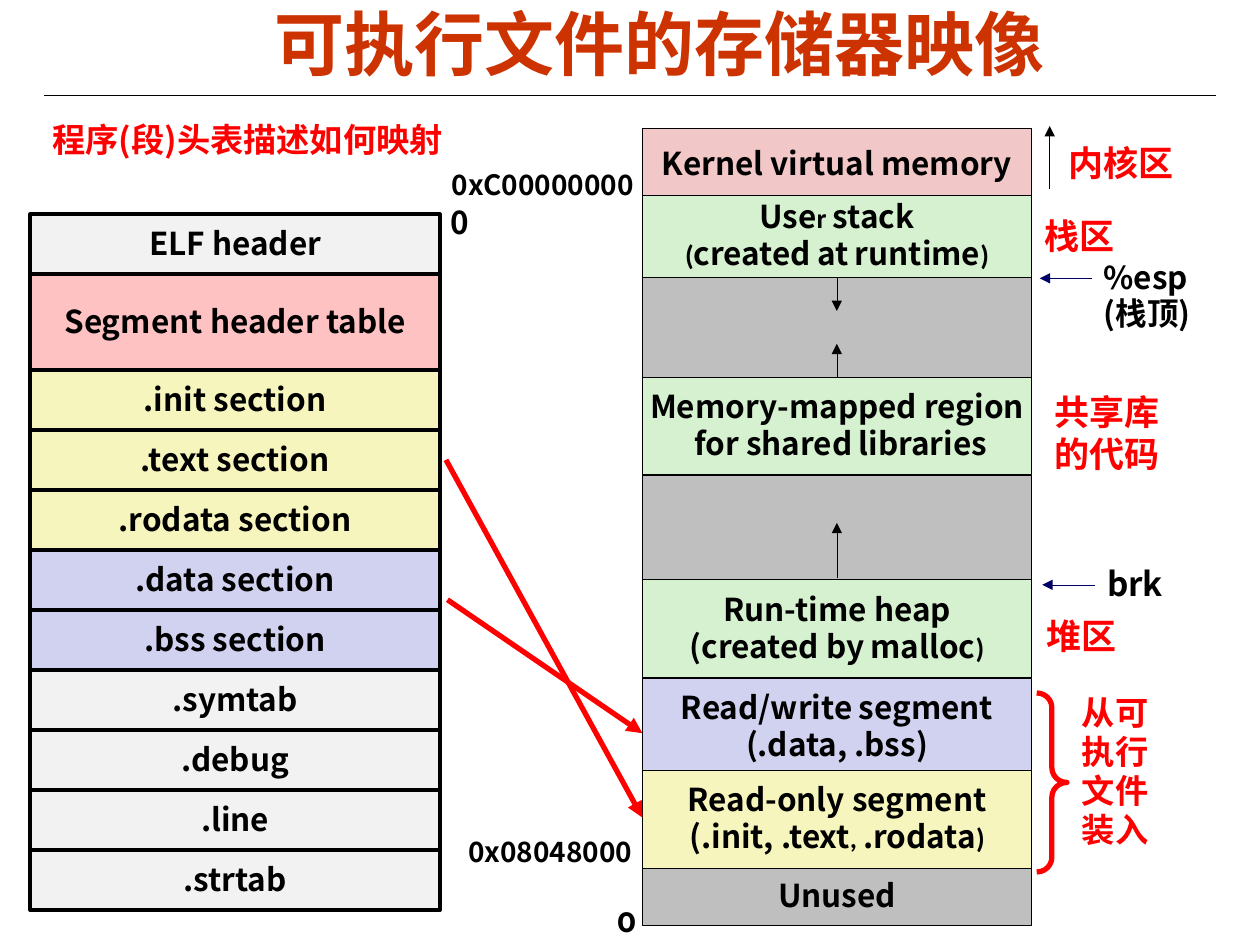
from dataclasses import dataclass

import lxml.etree
import pptx
import pptx.dml.color
import pptx.enum.shapes
import pptx.enum.text
import pptx.oxml.ns
import pptx.util

Cm = pptx.util.Cm
Pt = pptx.util.Pt
ShapeType = pptx.enum.shapes.MSO_SHAPE
Align = pptx.enum.text.PP_ALIGN
Anchor = pptx.enum.text.MSO_ANCHOR
qn = pptx.oxml.ns.qn

COLORS = {
    "black": "000000", "title": "CC3300", "red": "FF0000", "navy": "000066",
    "kernel": "F1C7C7", "green": "D5F1CF", "gray": "BFBFBF",
    "blue": "D1D1F0", "yellow": "F6F5BD", "light": "F2F2F2",
}
NOTO = "Noto Sans CJK SC"


@dataclass(frozen=True)
class Run:
    text: str
    size: float = 18
    font: str = NOTO


@dataclass(frozen=True)
class Block:
    top: float
    height: float
    color: str
    lines: tuple = ()


@dataclass(frozen=True)
class Label:
    left: float
    top: float
    width: float
    height: float
    lines: tuple
    color: str = "black"
    wrap: bool = False
    spacing: float = 0.98
    align: Align = Align.LEFT
    anchor: Anchor = Anchor.TOP


@dataclass(frozen=True)
class Arrow:
    start: tuple
    end: tuple
    color: str = "black"
    width: float = 0.26


def rgb(name: str) -> pptx.dml.color.RGBColor:
    return pptx.dml.color.RGBColor.from_string(COLORS[name])


def small(text: str) -> Run:
    return Run(text, 16, "Calibri")


def write_lines(frame, lines: tuple, color: str, align: Align, spacing: float) -> None:
    for index, line in enumerate(lines):
        paragraph = frame.paragraphs[0] if index == 0 else frame.add_paragraph()
        paragraph.alignment = align
        paragraph.line_spacing = spacing
        for item in line:
            run = paragraph.add_run()
            run.text = item.text
            run.font.size = Pt(item.size)
            run.font.name = item.font
            run.font.bold = True
            run.font.color.rgb = rgb(color)
            east_asian = lxml.etree.SubElement(run.font._element, qn("a:ea"))
            east_asian.set("typeface", NOTO)


def add_block(slide, left: float, width: float, block: Block, line_width: float):
    shape = slide.shapes.add_shape(
        ShapeType.RECTANGLE, Cm(left), Cm(block.top), Cm(width), Cm(block.height))
    shape.shadow.inherit = False
    shape.fill.solid()
    shape.fill.fore_color.rgb = rgb(block.color)
    shape.line.color.rgb = rgb("black")
    shape.line.width = Pt(line_width)
    shape.text_frame.word_wrap = False
    shape.text_frame.vertical_anchor = Anchor.MIDDLE
    write_lines(shape.text_frame, block.lines, "black", Align.CENTER, 0.98)
    return shape


def add_label(slide, label: Label) -> None:
    shape = slide.shapes.add_textbox(
        Cm(label.left), Cm(label.top), Cm(label.width), Cm(label.height))
    shape.text_frame.word_wrap = label.wrap
    shape.text_frame.vertical_anchor = label.anchor
    write_lines(shape.text_frame, label.lines, label.color, label.align, label.spacing)


def add_line(slide, line: Arrow, head: bool = True) -> None:
    connector = slide.shapes.add_connector(
        pptx.enum.shapes.MSO_CONNECTOR.STRAIGHT,
        *(Cm(value) for value in line.start + line.end))
    connector.line.color.rgb = rgb(line.color)
    connector.line.width = Pt(line.width)
    if head:
        tail = lxml.etree.SubElement(connector.line._get_or_add_ln(), qn("a:tailEnd"))
        tail.set("type", "triangle")
    lxml.etree.SubElement(connector._element.spPr, qn("a:effectLst"))


def add_brace(slide) -> None:
    brace = slide.shapes.add_shape(
        ShapeType.RIGHT_BRACE, Cm(20.9), Cm(13.97), Cm(0.61), Cm(3.61))
    brace.adjustments[0] = 0.486
    brace.adjustments[1] = 0.5
    brace.shadow.inherit = False
    brace.fill.background()
    brace.line.color.rgb = rgb("red")
    brace.line.width = Pt(3)


def add_elf_file(slide) -> None:
    sections = (
        ("ELF header", "light"), ("Segment header table", "red"),
        (".init section", "yellow"), (".text section", "yellow"),
        (".rodata section", "yellow"), (".data section", "blue"),
        (".bss section", "blue"), (".symtab", "light"), (".debug", "light"),
        (".line", "light"), (".strtab", "light"),
    )
    top = 4.32
    for name, color in sections:
        is_segment_table = color == "red"
        height = 1.93 if is_segment_table else 1.21
        shape = add_block(slide, 0.61, 8.26, Block(top, height, color, ((Run(name),),)), 2)
        if is_segment_table:
            fill_color = shape._element.spPr.find(qn("a:solidFill"))[0]
            lxml.etree.SubElement(fill_color, qn("a:alpha")).set("val", "24000")
        top += height


MEMORY = (
    Block(2.59, 1.45, "kernel", ((Run("Kernel virtual memory"),),)),
    Block(7.59, 1.98, "green", (
        (Run("Memory-mapped region"),),
        (Run(" for shared"), small(" "), Run("libraries")))),
    Block(9.58, 2.13, "gray"),
    Block(11.68, 1.98, "green", (
        (Run("Run-time heap"),),
        (Run("(created by"), small(" "), Run("malloc"), small(")")))),
    Block(4.93, 2.67, "gray"),
    Block(3.94, 1.65, "green", (
        (Run("Use"), small("r "), Run("stack")),
        (small("("), Run("created"), small(" "), Run("at"), small(" "),
         Run("runtime"), small(")")))),
    Block(17.48, 1.17, "gray", ((Run("Unused"),),)),
    Block(13.67, 1.98, "blue", (
        (Run("Read/write"), small(" "), Run("segment")),
        (Run("(.data, .bss)"),))),
    Block(15.52, 1.98, "yellow", (
        (Run("Read-only segment"),),
        (Run("(.init, .text"), small(", "), Run(".rodata"), small(")")))),
)
ARROWS = (
    Arrow((22.02, 5.61), (20.96, 5.61), "navy"),
    Arrow((21.16, 3.81), (21.16, 2.54)),
    Arrow((22.07, 11.79), (21.01, 11.79), "navy"),
    Arrow((16.87, 11.66), (16.87, 10.54)),
    Arrow((16.87, 7.62), (16.87, 6.93)),
    Arrow((16.87, 5.59), (16.87, 6.27)),
    Arrow((8.99, 9.27), (12.95, 16.48), "red", 3),
    Arrow((9.02, 12.09), (12.95, 14.78), "red", 3),
)
AREAS = (
    ("栈区", 20.8, 4.19, 2.26, 1.09),
    ("堆区", 20.85, 12.27, 2.26, 1.09),
    ("共享库的代码", 21.01, 7.75, 3.1, 1.96),
    ("内核区", 21.29, 2.72, 2.95, 1.09),
)
LABELS = (
    Label(1.19, 0, 24.21, 1.73, ((Run("可执行文件的存储器映像", 40, "Arial"),),),
          "title", True, 1, Align.CENTER, Anchor.MIDDLE),
    Label(8.84, 4.01, 0.89, 1.02, ((Run("0"),),)),
    Label(22, 5.13, 2.62, 1.73, ((Run("%esp "),), (Run("(栈顶)"),)), wrap=True, spacing=0.95),
    Label(22.07, 11.3, 1.63, 1.02, ((Run("brk", 19),),), spacing=0.94),
    Label(8.86, 3.3, 4.34, 0.89, ((Run("0xC00000000", 16),),), spacing=0.94),
    Label(9.19, 16.76, 3.96, 0.89, ((Run("0x08048000", 16),),), spacing=0.94),
    Label(12.19, 18.14, 0.89, 0.91, ((Run("0", 16, "Montserrat"),),)),
    Label(21.56, 13.87, 2.08, 3.4, ((Run("从可执行文件装入", 19, "Calibri"),),), "red", True),
    Label(0.81, 2.29, 9.07, 1.07, ((Run("程序(段)头表描述如何映射", 19),),), "red", True, 1),
    *(Label(left, top, width, height, ((Run(text, 20, "Arial"),),), "red", True, 1)
      for text, left, top, width, height in AREAS),
)

presentation = pptx.Presentation()
presentation.slide_width = Cm(25.4)
presentation.slide_height = Cm(19.05)
slide = presentation.slides.add_slide(presentation.slide_layouts[6])
add_line(slide, Arrow((0.89, 1.93), (24.51, 1.93), width=0.75), head=False)
for block in MEMORY:
    add_block(slide, 12.95, 7.85, block, 0.26)
add_elf_file(slide)
for arrow in ARROWS:
    add_line(slide, arrow)
add_brace(slide)
for label in LABELS:
    add_label(slide, label)
presentation.save("out.pptx")
